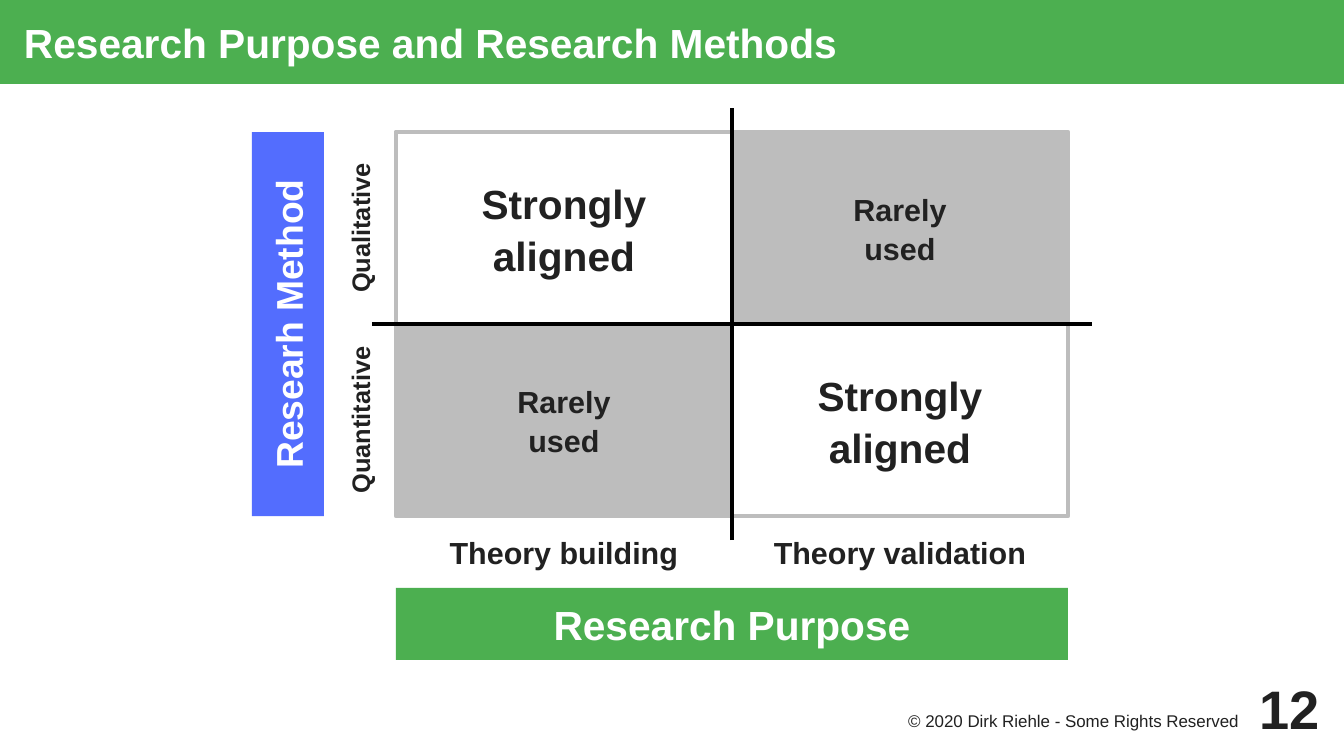
"""Build the slide that maps research purpose against research methods."""
from lxml.etree import SubElement
from pptx import Presentation
from pptx.dml.color import RGBColor
from pptx.enum.shapes import MSO_CONNECTOR as Connector, MSO_SHAPE as Preset
from pptx.enum.text import MSO_ANCHOR as Anchor, PP_ALIGN as Align
from pptx.oxml.ns import qn
from pptx.util import Cm, Pt

TITLE = "Research Purpose and Research Methods"
PURPOSE, PURPOSES = "Research Purpose", ["Theory building", "Theory validation"]
METHOD, METHODS = "Researh Method", ["Qualitative", "Quantitative"]
ALIGNED, RARE = "Strongly\valigned", "Rarely\nused"
QUADRANTS = [(RARE, 0, 1), (RARE, 1, 0), (ALIGNED, 0, 0), (ALIGNED, 1, 1)]
COPYRIGHT, PAGE = "© 2020 Dirk Riehle - Some Rights Reserved", "12"

GREEN, BLUE, GREY, INK = "4CAF50", "536DFE", "BDBDBD", "212121"
WHITE, BLACK = "FFFFFF", "000000"
SLIDE_W, SLIDE_H, TITLE_H = 28, 15.75, 1.75
LEFT, TOP, CELL_W, CELL_H, BAND = 8.25, 2.75, 7, 4, 1.5
MID_X, MID_Y = LEFT + CELL_W, TOP + CELL_H
STROKE = Pt(2.83)


def rgb(value):
    return RGBColor.from_string(value)


def write(shape, text, size, color=INK, align=Align.CENTER, bold=True,
          anchor=Anchor.MIDDLE, wrap=True, insets=(0.2, 0.2, 0.2, 0.2), spacing=1):
    frame = shape.text_frame
    frame.text = text
    left, top, right, bottom = map(Cm, insets)
    frame_format = {"vertical_anchor": anchor, "word_wrap": wrap, "margin_left": left,
                    "margin_top": top, "margin_right": right, "margin_bottom": bottom}
    for name, value in frame_format.items():
        setattr(frame, name, value)
    for paragraph in frame.paragraphs:
        paragraph.alignment = align
        paragraph.line_spacing = spacing
        for run in paragraph.runs:
            for name, value in {"name": "Arial", "size": Pt(size), "bold": bold}.items():
                setattr(run.font, name, value)
            run.font.color.rgb = rgb(color)


def paint(shape, fill):
    shape.fill.solid()
    shape.fill.fore_color.rgb = rgb(fill)


def box(slide, left, top, width, height, fill=None, rotation=0):
    area = [Cm(length) for length in (left, top, width, height)]
    if fill:
        shape = slide.shapes.add_shape(Preset.RECTANGLE, *area)
        shape.shadow.inherit = False
        shape.line.fill.background()
        paint(shape, fill)
    else:
        shape = slide.shapes.add_textbox(*area)
    shape.rotation = rotation
    return shape


def upright(slide, center_x, center_y, length, fill=None):
    return box(slide, center_x - length / 2, center_y - BAND / 2, length, BAND, fill, 270)


def quadrant(slide, text, column, row):
    aligned = text == ALIGNED
    cell = box(slide, LEFT + column * CELL_W, TOP + row * CELL_H, CELL_W, CELL_H,
               WHITE if aligned else GREY)
    cell.line.color.rgb = rgb(GREY)
    cell.line.width = STROKE
    if aligned:
        tint = cell.fill._xPr.find(qn("a:solidFill"))[0]
        SubElement(tint, qn("a:alpha"), val="50000")
    write(cell, text, 24 if aligned else 18, wrap=False, spacing=1.05)


def axis(slide, *ends):
    line = slide.shapes.add_connector(Connector.STRAIGHT, *map(Cm, ends))
    line.line.color.rgb = rgb(BLACK)
    line.line.width = STROKE
    SubElement(line._element.spPr, qn("a:effectLst"))


def main():
    deck = Presentation()
    deck.slide_width, deck.slide_height = Cm(SLIDE_W), Cm(SLIDE_H)
    slide = deck.slides.add_slide(deck.slide_layouts[5])

    title = slide.shapes.title
    title_area = {"left": 0, "top": 0, "width": SLIDE_W, "height": TITLE_H}
    for name, value in title_area.items():
        setattr(title, name, Cm(value))
    paint(title, GREEN)
    write(title, TITLE, 24, WHITE, Align.LEFT, insets=(0.5, 0, 0, 0))

    for text, column, row in QUADRANTS:
        quadrant(slide, text, column, row)

    labels_top = TOP + 2 * CELL_H
    for column, purpose in enumerate(PURPOSES):
        label = box(slide, LEFT + column * CELL_W, labels_top, CELL_W, BAND)
        write(label, purpose, 18)
    purpose_bar = box(slide, LEFT, labels_top + BAND, 2 * CELL_W, BAND, GREEN)
    write(purpose_bar, PURPOSE, 24, WHITE, insets=(0, 0, 0, 0))

    for row, method in enumerate(METHODS):
        label = upright(slide, LEFT - BAND / 2, TOP + (row + 0.5) * CELL_H, CELL_H)
        write(label, method, 15)
    method_bar = upright(slide, LEFT - 1.5 * BAND, MID_Y, 2 * CELL_H, BLUE)
    write(method_bar, METHOD, 22, WHITE, insets=(0, 0, 0, 0))

    overhang = 0.5
    axis(slide, LEFT - overhang, MID_Y, LEFT + 2 * CELL_W + overhang, MID_Y)
    axis(slide, MID_X, labels_top + overhang, MID_X, TOP - overhang)

    write(box(slide, 18, 14.75, 8, 0.75), COPYRIGHT, 10, align=Align.RIGHT, bold=False,
          anchor=Anchor.TOP, insets=(0, 0.05, 0.2, 0))
    write(box(slide, 25.5, 14, 2, BAND), PAGE, 32, align=Align.RIGHT, insets=(0, 0, 0, 0))

    deck.save("out.pptx")


if __name__ == "__main__":
    main()
